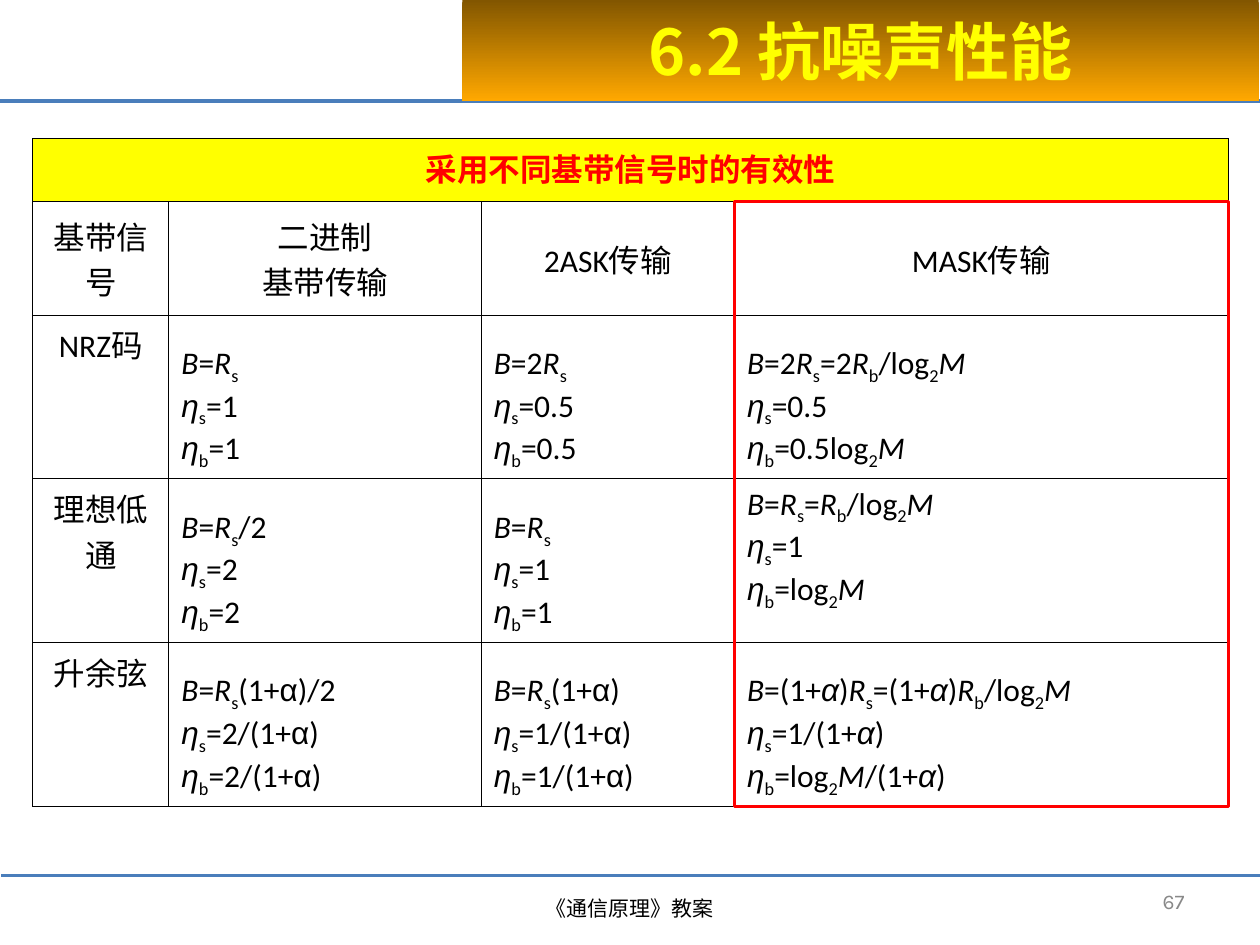
from itertools import accumulate, groupby

from lxml.etree import SubElement
from pptx import Presentation
from pptx.dml.color import RGBColor
from pptx.enum.shapes import MSO_CONNECTOR, MSO_SHAPE
from pptx.enum.text import MSO_ANCHOR as Anchor, PP_ALIGN as Align
from pptx.oxml.ns import qn
from pptx.util import Inches, Pt

BLACK = RGBColor(0x00, 0x00, 0x00)
RED = RGBColor(0xFF, 0x00, 0x00)
YELLOW = RGBColor(0xFF, 0xFF, 0x00)
GRAY = RGBColor(0x89, 0x89, 0x89)
BLUE = RGBColor(0x4A, 0x7E, 0xBB)
BROWN = RGBColor(0x82, 0x56, 0x00)
ORANGE = RGBColor(0xFF, 0xA8, 0x00)

WIDTH, HEIGHT = 10, 7.5
HEADER_HEIGHT = 0.8
LEFT, TOP = 0.26, 1.1
COLUMNS = [1.08, 2.48, 2.01, 3.92]
ROWS = [0.5, 0.9, 1.3, 1.3, 1.3]
COLUMN_EDGES = list(accumulate(COLUMNS, initial=LEFT))
ROW_EDGES = list(accumulate(ROWS, initial=TOP))

CAPTION = "采用不同基带信号时的有效性"
HEADINGS = ["基带信号", "二进制\n基带传输", "2ASK传输", "MASK传输"]
SIGNALS = {
    "NRZ码": [
        "B=R_s\nη_s=1\nη_b=1",
        "B=2R_s\nη_s=0.5\nη_b=0.5",
        "B=2R_s=2R_b/log_2M\nη_s=0.5\nη_b=0.5log_2M",
    ],
    "理想低通": [
        "B=R_s/2\nη_s=2\nη_b=2",
        "B=R_s\nη_s=1\nη_b=1",
        "B=R_s=R_b/log_2M\nη_s=1\nη_b=log_2M",
    ],
    "升余弦": [
        "B=R_s(1+α)/2\nη_s=2/(1+α)\nη_b=2/(1+α)",
        "B=R_s(1+α)\nη_s=1/(1+α)\nη_b=1/(1+α)",
        "B=(1+α)R_s=(1+α)R_b/log_2M\nη_s=1/(1+α)\nη_b=log_2M/(1+α)",
    ],
}


def split_formula(line, italics):
    marks = [
        (char, (char in italics, char in "ηα", line[:index].endswith("_")))
        for index, char in enumerate(line)
        if char != "_"
    ]
    for (italic, greek, lowered), group in groupby(marks, key=lambda mark: mark[1]):
        yield "".join(char for char, _ in group), italic, greek, lowered


def write_text(frame, text, size=18, font="Calibri", color=BLACK, bold=False,
               align=Align.LEFT, spacing=None, italics=None):
    for index, line in enumerate(text.split("\n")):
        paragraph = frame.add_paragraph() if index else frame.paragraphs[0]
        paragraph.alignment = align
        if spacing:
            paragraph.line_spacing = spacing
        pieces = split_formula(line, italics) if italics else [(line, False, False, False)]
        for piece, italic, greek, lowered in pieces:
            run = paragraph.add_run()
            run.text = piece
            run.font.size = Pt(size)
            run.font.name = "Arial" if greek else font
            run.font.color.rgb = color
            run.font.bold = bold
            run.font.italic = italic
            if lowered:
                run.font._element.set("baseline", "-25000")


def add_rule(slide, left, top, weight):
    rule = slide.shapes.add_connector(
        MSO_CONNECTOR.STRAIGHT, Inches(left), Inches(top), Inches(left + WIDTH), Inches(top))
    rule.line.color.rgb = BLUE
    rule.line.width = Pt(weight)
    SubElement(rule._element.spPr, qn("a:effectLst"))


def add_label(slide, text, left, top, width, height, anchor=Anchor.TOP, **style):
    box = slide.shapes.add_textbox(Inches(left), Inches(top), Inches(width), Inches(height))
    box.text_frame.word_wrap = True
    box.text_frame.vertical_anchor = anchor
    write_text(box.text_frame, text, **style)


def format_title(slide, text):
    title = slide.shapes.title
    title.left, title.top = Inches(3.67), 0
    title.width, title.height = Inches(6.32), Inches(HEADER_HEIGHT)
    title.fill.gradient()
    title.fill.gradient_angle = 270
    for stop, position, color in zip(title.fill.gradient_stops, (0, 1), (BROWN, ORANGE)):
        stop.position = position
        stop.color.rgb = color
    title.text_frame.vertical_anchor = Anchor.MIDDLE
    write_text(title.text_frame, text, size=36, font="Noto Sans CJK SC",
               color=YELLOW, bold=True, align=Align.CENTER)
    slide.shapes.element.append(title.element)


def set_borders(cell):
    properties = cell._tc.get_or_add_tcPr()
    for index, side in enumerate(("lnL", "lnR", "lnT", "lnB")):
        border = properties.makeelement(qn(f"a:{side}"), {"w": str(Pt(0.45))})
        fill = SubElement(border, qn("a:solidFill"))
        SubElement(fill, qn("a:srgbClr"), val=str(BLACK))
        properties.insert(index, border)


def fill_cell(cell, text, anchor=Anchor.TOP, **style):
    cell.vertical_anchor = anchor
    write_text(cell.text_frame, text, **style)


def add_efficiency_table(slide):
    table = slide.shapes.add_table(
        len(ROWS), len(COLUMNS), Inches(LEFT), Inches(TOP),
        Inches(sum(COLUMNS)), Inches(sum(ROWS))).table
    table.first_row = table.horz_banding = False
    for column, width in zip(table.columns, COLUMNS):
        column.width = Inches(width)
    for row, height in zip(table.rows, ROWS):
        row.height = Inches(height)
    for cell in table.iter_cells():
        cell.fill.background()
        set_borders(cell)

    caption = table.cell(0, 0)
    caption.merge(table.cell(0, len(COLUMNS) - 1))
    caption.fill.solid()
    caption.fill.fore_color.rgb = YELLOW
    fill_cell(caption, CAPTION, color=RED, bold=True, align=Align.CENTER)
    for column, heading in enumerate(HEADINGS):
        fill_cell(table.cell(1, column), heading, Anchor.MIDDLE, align=Align.CENTER)
    for row, (signal, formulas) in enumerate(SIGNALS.items(), start=2):
        fill_cell(table.cell(row, 0), signal, align=Align.CENTER)
        for column, formula in enumerate(formulas, start=1):
            is_mask = column == len(formulas)
            anchor = Anchor.TOP if is_mask and signal == "理想低通" else Anchor.BOTTOM
            fill_cell(table.cell(row, column), formula, anchor,
                      italics="BRMηα" if is_mask else "BRMη")


def add_mask_frame(slide):
    left, top = COLUMN_EDGES[-2], ROW_EDGES[1]
    frame = slide.shapes.add_shape(
        MSO_SHAPE.RECTANGLE, Inches(left), Inches(top),
        Inches(COLUMN_EDGES[-1] - left), Inches(ROW_EDGES[-1] - top))
    frame.shadow.inherit = False
    frame.fill.background()
    frame.line.color.rgb = RED
    frame.line.width = Pt(2)


def main():
    presentation = Presentation()
    presentation.slide_width, presentation.slide_height = Inches(WIDTH), Inches(HEIGHT)
    slide = presentation.slides.add_slide(presentation.slide_layouts[5])
    add_rule(slide, 0, HEADER_HEIGHT, 2)
    add_rule(slide, 0.01, 6.95, 2)
    add_label(slide, "《通信原理》教案", 3.32, 6.96, 3.35, 0.4,
              size=12, font="Karla", align=Align.CENTER, spacing=1.5)
    add_rule(slide, 0, HEADER_HEIGHT, 0.75)
    format_title(slide, "6.2 抗噪声性能")
    add_label(slide, "67", 7.17, 6.95, 2.33, 0.4, Anchor.MIDDLE,
              size=12, font="Karla", color=GRAY, align=Align.RIGHT)
    add_efficiency_table(slide)
    add_mask_frame(slide)
    presentation.save("out.pptx")


if __name__ == "__main__":
    main()
